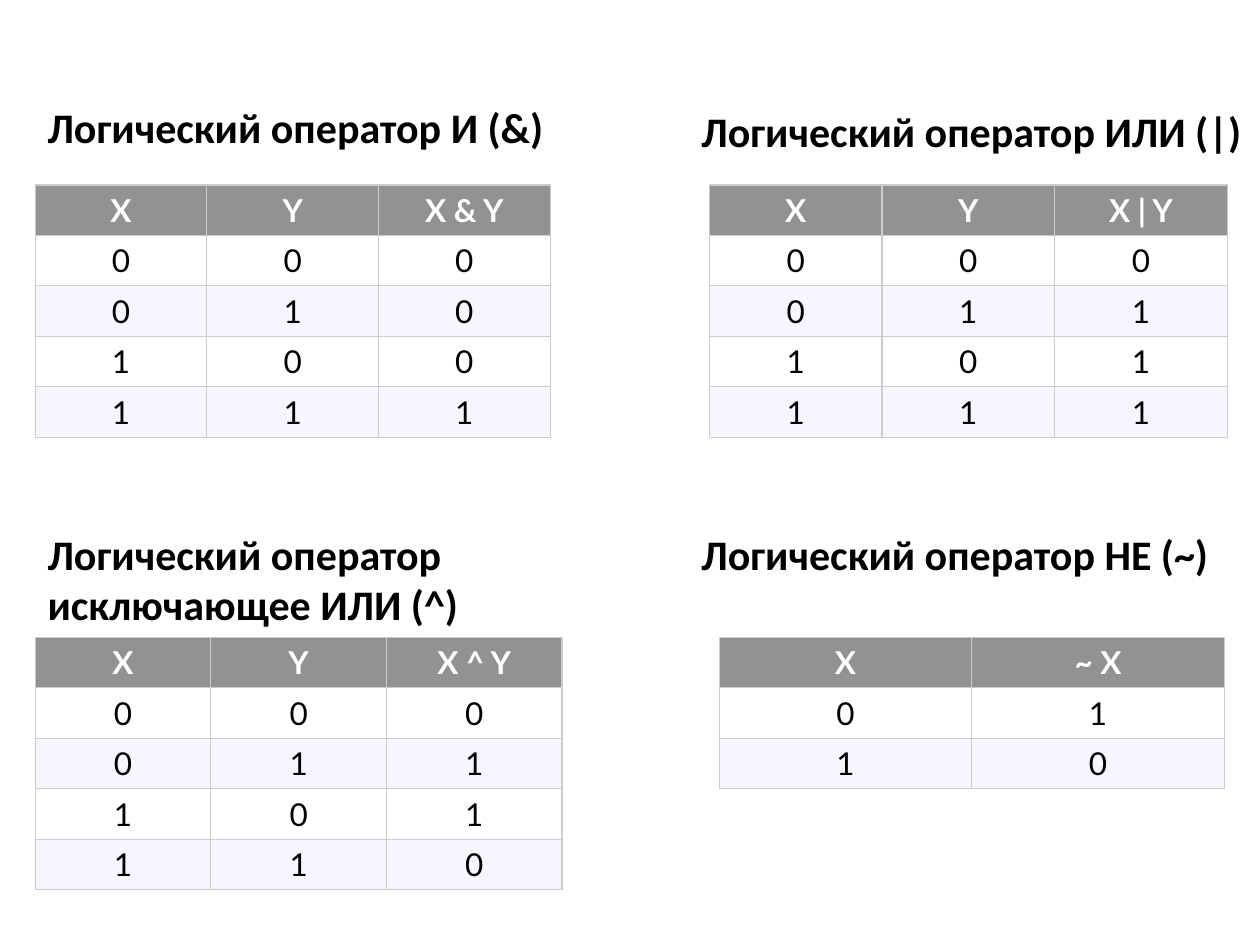
from lxml import etree
from pptx import Presentation
from pptx.dml.color import RGBColor
from pptx.enum.text import MSO_ANCHOR, MSO_AUTO_SIZE, PP_ALIGN
from pptx.oxml.ns import qn
from pptx.util import Cm, Pt

CENTER = PP_ALIGN.CENTER
MIDDLE = MSO_ANCHOR.MIDDLE
FIT_SHAPE = MSO_AUTO_SIZE.SHAPE_TO_FIT_TEXT

COLORS = {"header": "929292", "odd": "FFFFFF", "even": "F6F6FF",
          "border": "CCCCCC", "text": "000000", "header_text": "FFFFFF"}
ROW_HEIGHT = 1.01
INPUTS = ["00", "01", "10", "11"]

OPERATORS = [
    {"heading": ["Логический оператор И (&)"], "box": (0.71, 1.93, 10.62, 1.27),
     "table": (0.71, 3.73), "col": 3.46,
     "header": ["X", "Y", "X & Y"], "inputs": INPUTS, "results": "0001"},
    {"heading": ["Логический оператор ИЛИ (|)"], "box": (13.89, 2.01, 11.51, 1.27),
     "table": (14.3, 3.73), "col": 3.48,
     "header": ["X", "Y", "X | Y"], "inputs": INPUTS, "results": "0111"},
    {"heading": ["Логический оператор", "исключающее ИЛИ (^)"],
     "box": (0.71, 10.52, 8.89, 2.31),
     "table": (0.71, 12.85), "col": 3.54,
     "header": ["X", "Y", "X ^ Y"], "inputs": INPUTS, "results": "0110"},
    {"heading": ["Логический оператор НЕ (~)"], "box": (13.89, 10.52, 10.85, 1.27),
     "table": (14.5, 12.85), "col": 5.09,
     "header": ["X", "~ X"], "inputs": ["0", "1"], "results": "10"},
]


def rgb(name):
    return RGBColor.from_string(COLORS[name])


def style_font(font, name, size, color, bold):
    font.name = name
    font.size = Pt(size)
    font.bold = bold
    font.color.rgb = rgb(color)


def add_heading(slide, lines, box):
    tf = slide.shapes.add_textbox(*map(Cm, box)).text_frame
    tf.word_wrap = False
    tf.auto_size = FIT_SHAPE
    tf.text = "\n".join(lines)
    for p in tf.paragraphs:
        for r in p.runs:
            style_font(r.font, "Calibri", 24, "text", True)


def add_borders(cell):
    tc_pr = cell._tc.get_or_add_tcPr()
    for side in ("a:lnL", "a:lnR", "a:lnT", "a:lnB"):
        ln = etree.SubElement(tc_pr, qn(side), w=str(Pt(0.75)))
        fill = etree.SubElement(ln, qn("a:solidFill"))
        etree.SubElement(fill, qn("a:srgbClr"), val=COLORS["border"])


def format_cell(cell, text, row):
    add_borders(cell)
    cell.fill.solid()
    cell.fill.fore_color.rgb = rgb("header" if row == 0 else ("even", "odd")[row % 2])
    cell.vertical_anchor = MIDDLE
    cell.text = text
    p = cell.text_frame.paragraphs[0]
    p.alignment = CENTER
    style_font(p.runs[0].font, "Lato", 18, "text" if row else "header_text", row == 0)


def add_truth_table(slide, op):
    rows = [op["header"]] + [[*x, y] for x, y in zip(op["inputs"], op["results"])]
    n_cols = len(op["header"])
    left, top = op["table"]
    table = slide.shapes.add_table(
        len(rows), n_cols, Cm(left), Cm(top),
        Cm(op["col"] * n_cols), Cm(ROW_HEIGHT * len(rows))).table
    for col in table.columns:
        col.width = Cm(op["col"])
    for i, values in enumerate(rows):
        table.rows[i].height = Cm(ROW_HEIGHT)
        for j, value in enumerate(values):
            format_cell(table.cell(i, j), value, i)


def main():
    """Build a slide with truth tables of four logical operators."""
    prs = Presentation()
    prs.slide_width, prs.slide_height = Cm(25.4), Cm(19.05)
    s = prs.slides.add_slide(prs.slide_layouts[6])
    for op in OPERATORS:
        add_heading(s, op["heading"], op["box"])
        add_truth_table(s, op)
    prs.save("out.pptx")


if __name__ == "__main__":
    main()
